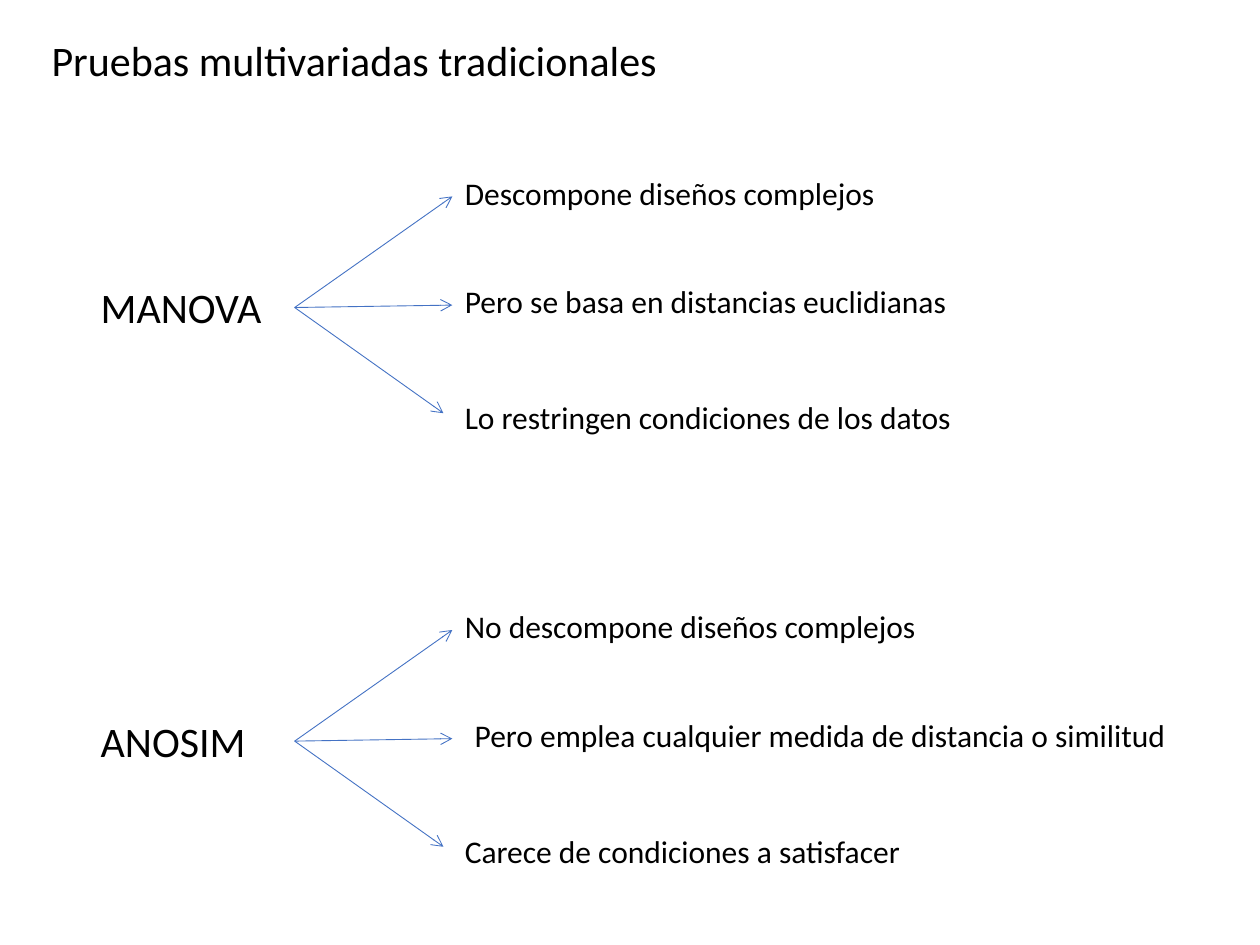
from lxml import etree
from pptx import Presentation
from pptx.dml.color import RGBColor
from pptx.enum import shapes, text
from pptx.oxml import ns
from pptx.util import Cm, Pt

COLORS = {"text": "000000", "arrow": "4472C4"}

prs = Presentation()
prs.slide_width, prs.slide_height = Cm(25.4), Cm(19.05)
s = prs.slides.add_slide(prs.slide_layouts[6])


def add_text(words, left, top, width, height, size):
    sp = s.shapes.add_textbox(Cm(left), Cm(top), Cm(width), Cm(height))
    tf = sp.text_frame
    tf.word_wrap = True
    tf.auto_size = text.MSO_AUTO_SIZE.SHAPE_TO_FIT_TEXT
    r = tf.paragraphs[0].add_run()
    r.text = words
    r.font.name = "Calibri"
    r.font.size = Pt(size)
    r.font.color.rgb = RGBColor.from_string(COLORS["text"])


def add_arrow(x1, y1, x2, y2):
    sp = s.shapes.add_connector(
        shapes.MSO_CONNECTOR.STRAIGHT, Cm(x1), Cm(y1), Cm(x2), Cm(y2))
    sp.line.color.rgb = RGBColor.from_string(COLORS["arrow"])
    sp.line.width = Pt(0.5)
    etree.SubElement(sp.line._get_or_add_ln(), ns.qn("a:tailEnd"), type="arrow")
    etree.SubElement(sp._element.spPr, ns.qn("a:effectLst"))


add_text("Pruebas multivariadas tradicionales", 0.79, 0.58, 19.25, 1.27, 24)

tests = [
    ("MANOVA", 5.56, [
        ("Descompone diseños complejos", 9.12, 9.93),
        ("Pero se basa en distancias euclidianas", 9.12, 10.92),
        ("Lo restringen condiciones de los datos", 9.12, 10.92)]),
    ("ANOSIM", 14.3, [
        ("No descompone diseños complejos", 9.12, 9.93),
        ("Pero emplea cualquier medida de distancia o similitud", 9.32, 15.47),
        ("Carece de condiciones a satisfacer", 9.12, 10.92)]),
]
branches = [(-2.18, 9.12, -1.6), (0, 9.12, 0.59), (2.34, 8.94, 2.77)]

for name, top, traits in tests:
    add_text(name, 1.78, top, 4.17, 1.27, 24)
    for (words, left, width), (dy, tip_x, tip_dy) in zip(traits, branches):
        add_arrow(5.94, top + 0.64, tip_x, top + tip_dy)
        add_text(words, left, top + dy, width, 1.02, 18)

prs.save("out.pptx")
